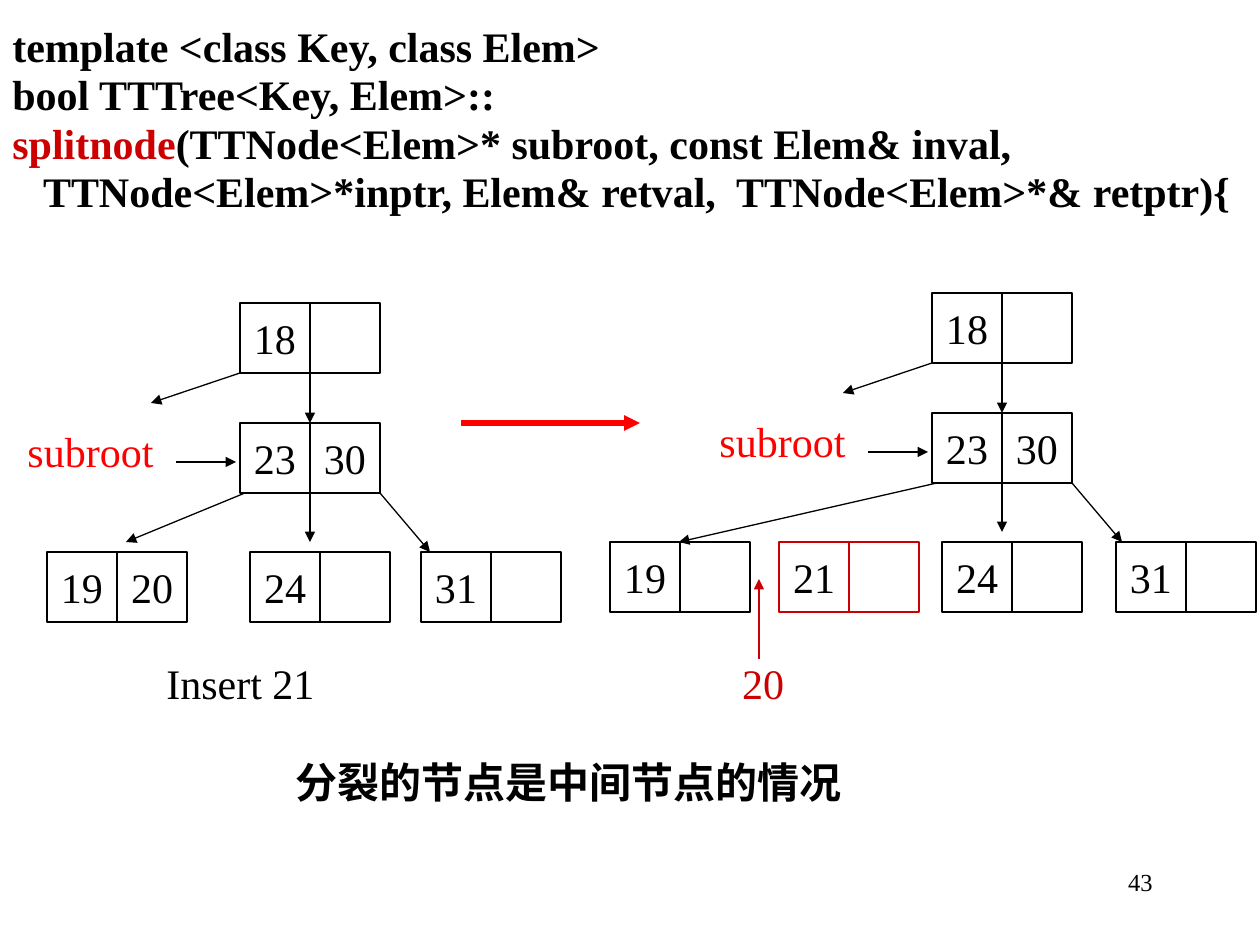
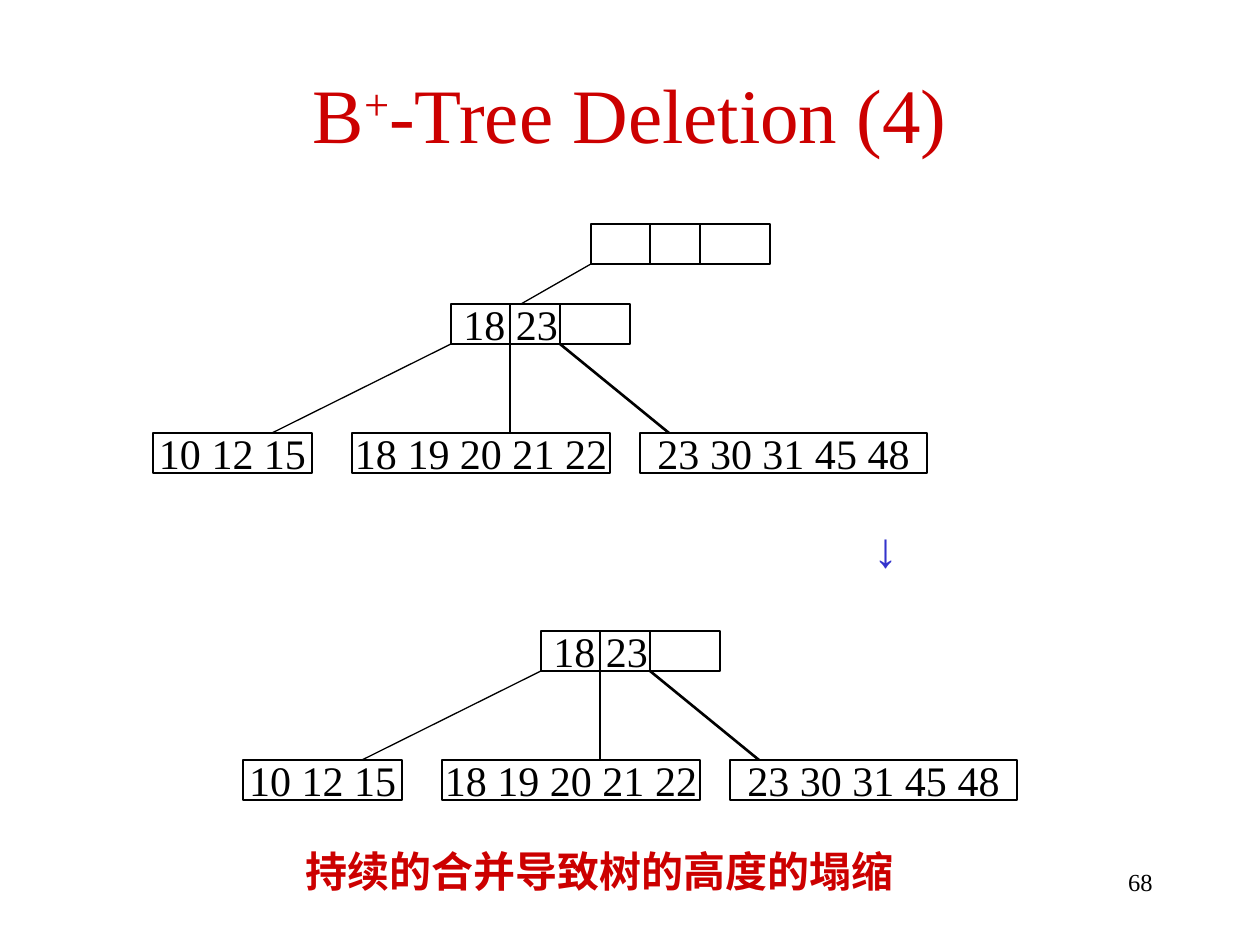
"""Build two slides on node splitting and deletion in search trees."""
from dataclasses import dataclass

from lxml.etree import SubElement
from pptx import Presentation
from pptx.dml.color import RGBColor
from pptx.enum.shapes import MSO_CONNECTOR as Connector, MSO_SHAPE as Preset
from pptx.enum.text import MSO_ANCHOR as Anchor, PP_ALIGN as Align
from pptx.oxml.ns import qn
from pptx.util import Pt


@dataclass(frozen=True)
class Theme:
    font: str = "Times New Roman"
    ink: str = "000000"
    accent: str = "CC0000"
    pointer: str = "FF0000"
    step: str = "3333CC"
    title: int = 44
    symbol: int = 28
    body: int = 24
    number: int = 14
    code_spacing: float = 0.75
    code_gap: int = 6
    thin: float = 0.75
    medium: float = 1.5
    thick: float = 3


THEME = Theme()
SLIDE_WIDTH, SLIDE_HEIGHT = 1260, 945

SIGNATURE = [
    [("template <class Key, class Elem>", THEME.ink)],
    [("bool TTTree<Key, Elem>::", THEME.ink)],
    [("splitnode", THEME.accent),
     ("(TTNode<Elem>* subroot, const Elem& inval,", THEME.ink)],
    [("   TTNode<Elem>*inptr, Elem& retval,  TTNode<Elem>*& retptr){", THEME.ink)],
]
SPLIT_TREES = [
    {
        "origin": (240, 303),
        "first_child": (-114, 239),
        "leaves": [(-193, ("19", "20"), THEME.ink),
                   (10, ("24", ""), THEME.ink),
                   (181, ("31", ""), THEME.ink)],
    },
    {
        "origin": (932, 293),
        "first_child": (-253, 249),
        "leaves": [(-322, ("19", ""), THEME.ink),
                   (-153, ("21", ""), THEME.accent),
                   (10, ("24", ""), THEME.ink),
                   (184, ("31", ""), THEME.ink)],
    },
]
SPLIT_ROOT, SPLIT_CHILD = ("18", ""), ("23", "30")
SPLIT_NOTES = [
    ("Insert 21", (153, 651, 175, 63), THEME.ink, False),
    ("20", (728, 651, 70, 63), THEME.accent, False),
    ("分裂的节点是中间节点的情况", (281, 750, 575, 63), THEME.ink, True),
]
CELL, CHILD_DROP, LEAF_DROP = 70, 120, 249

DELETION_TITLE = [("B", THEME.accent), ("+", THEME.accent),
                  ("-Tree Deletion (4)", THEME.accent)]
DELETION_KEYS = "18 23"
DELETION_LEAVES = [("10 12 15", -298, 159), ("18 19 20 21 22", -99, 258),
                   ("23 30 31 45 48", 189, 287)]
DELETION_EDGES = [(0, -179, THEME.thin), (59, 59, THEME.thin),
                  (109, 218, THEME.medium)]
DELETION_ORIGINS = [(451, 304), (541, 631)]
EMPTY_ROOT = (591, 224)
COLLAPSE_NOTE = "持续的合并导致树的高度的塌缩"
NODE_WIDTH, NODE_HEIGHT, KEY_DIVIDERS, DELETION_DROP = 179, 40, (59, 109), 129


def px(length):
    """Convert pixels to EMU."""
    return round(length * 914400 / 126)


def write(frame, lines, size, align=Align.CENTER, bold=False):
    """Fill a text frame with lines of (text, colour) runs."""
    for index, runs in enumerate(lines):
        paragraph = frame.add_paragraph() if index else frame.paragraphs[0]
        paragraph.alignment = align
        for words, colour in runs:
            run = paragraph.add_run()
            run.text = words
            run.font.name = THEME.font
            run.font.size = Pt(size)
            run.font.bold = bold
            run.font.color.rgb = RGBColor.from_string(colour)


def add_label(slide, box, lines, size=THEME.body, wrap=False, **style):
    """Add a text box and return its frame."""
    frame = slide.shapes.add_textbox(*map(px, box)).text_frame
    frame.word_wrap = wrap
    write(frame, lines, size, **style)
    return frame


def add_box(slide, box, words="", colour=THEME.ink, align=Align.CENTER):
    """Add an outlined rectangle with optional keys."""
    node = slide.shapes.add_shape(Preset.RECTANGLE, *map(px, box))
    node.shadow.inherit = False
    node.fill.background()
    node.line.color.rgb = RGBColor.from_string(colour)
    node.line.width = Pt(THEME.thin)
    if words:
        frame = node.text_frame
        frame.word_wrap = False
        frame.vertical_anchor = Anchor.MIDDLE
        write(frame, [[(words, THEME.ink)]], THEME.body, align)


def add_line(slide, start, end, colour=THEME.ink, width=THEME.thin, arrow=False):
    """Draw a straight line, with an arrowhead at its end if asked."""
    edge = slide.shapes.add_connector(Connector.STRAIGHT, *map(px, (*start, *end)))
    edge.line.color.rgb = RGBColor.from_string(colour)
    edge.line.width = Pt(width)
    if arrow:
        SubElement(edge.line._get_or_add_ln(), qn("a:tailEnd"), type="triangle")
    SubElement(edge._element.spPr, qn("a:effectLst"))


def add_page_number(slide, number):
    """Add the page number shared by all slides."""
    add_label(slide, (903, 861, 262, 63), [[(number, THEME.ink)]], THEME.number,
              wrap=True, align=Align.RIGHT)


def add_pair(slide, left, top, keys, colour=THEME.ink):
    """Draw a node of two key cells."""
    for column, key in enumerate(keys):
        add_box(slide, (left + column * CELL, top, CELL, CELL), key, colour)


def add_split_tree(slide, origin, first_child, leaves):
    """Draw a 2-3 tree with its subroot pointer."""
    left, top = origin
    child_bottom = CHILD_DROP + CELL
    add_pair(slide, left, top, SPLIT_ROOT)
    add_pair(slide, left, top + CHILD_DROP, SPLIT_CHILD)
    for shift, keys, colour in leaves:
        add_pair(slide, left + shift, top + LEAF_DROP, keys, colour)
    arrows = [
        ((0, CELL), (-89, 100)),
        ((CELL, CELL), (CELL, CHILD_DROP)),
        ((5, child_bottom), first_child),
        ((CELL, child_bottom), (CELL, 239)),
        ((2 * CELL, child_bottom), (190, LEAF_DROP)),
        ((-64, 159), (-4, 159)),
    ]
    for start, end in arrows:
        add_line(slide, (left + start[0], top + start[1]),
                 (left + end[0], top + end[1]), arrow=True)
    add_label(slide, (left - 226, top + 116, 153, 63), [[("subroot", THEME.pointer)]])


def add_key_node(slide, left, top, keys=""):
    """Draw a node with three key slots."""
    add_box(slide, (left, top, NODE_WIDTH, NODE_HEIGHT), keys, align=Align.LEFT)
    for shift in KEY_DIVIDERS:
        add_line(slide, (left + shift, top), (left + shift, top + NODE_HEIGHT))


def add_deletion_tree(slide, left, top):
    """Draw a parent node, its leaves and the edges between them."""
    add_key_node(slide, left, top, DELETION_KEYS)
    for keys, shift, width in DELETION_LEAVES:
        add_box(slide, (left + shift, top + DELETION_DROP, width, NODE_HEIGHT), keys)
    for start, end, width in DELETION_EDGES:
        add_line(slide, (left + start, top + NODE_HEIGHT),
                 (left + end, top + DELETION_DROP), width=width)


def build_split(slide):
    """Compose the slide on splitting an inner node."""
    signature = add_label(slide, (0, 26, SLIDE_WIDTH, 893), SIGNATURE, wrap=True,
                          align=Align.LEFT, bold=True)
    for index, paragraph in enumerate(signature.paragraphs):
        paragraph.line_spacing = THEME.code_spacing
        paragraph.space_before = Pt(THEME.code_gap if index else 0)
    for tree in SPLIT_TREES:
        add_split_tree(slide, **tree)
    add_line(slide, (461, 423), (640, 423), THEME.pointer, THEME.thick, arrow=True)
    add_line(slide, (759, 659), (759, 579), THEME.accent, arrow=True)
    for words, box, colour, bold in SPLIT_NOTES:
        add_label(slide, box, [[(words, colour)]], bold=bold)
    add_page_number(slide, "43")


def build_deletion(slide):
    """Compose the slide on a tree losing a level."""
    title = add_label(slide, (63, 50, 1134, 126), [DELETION_TITLE], THEME.title,
                      wrap=True)
    title.vertical_anchor = Anchor.MIDDLE
    plus = title.paragraphs[0].runs[1]
    plus._r.get_or_add_rPr().set("baseline", "30000")
    for origin in DELETION_ORIGINS:
        add_deletion_tree(slide, *origin)
    add_key_node(slide, *EMPTY_ROOT)
    add_line(slide, (EMPTY_ROOT[0], EMPTY_ROOT[1] + NODE_HEIGHT),
             (521, DELETION_ORIGINS[0][1]))
    add_label(slide, (719, 512, 333, 72), [[("↓", THEME.step)]], THEME.symbol,
              wrap=True, bold=True)
    add_label(slide, (290, 839, 620, 63), [[(COLLAPSE_NOTE, THEME.accent)]], bold=True)
    add_page_number(slide, "68")


def main():
    """Build and save the presentation."""
    deck = Presentation()
    deck.slide_width, deck.slide_height = px(SLIDE_WIDTH), px(SLIDE_HEIGHT)
    for build in (build_split, build_deletion):
        build(deck.slides.add_slide(deck.slide_layouts[6]))
    deck.save("out.pptx")


if __name__ == "__main__":
    main()
